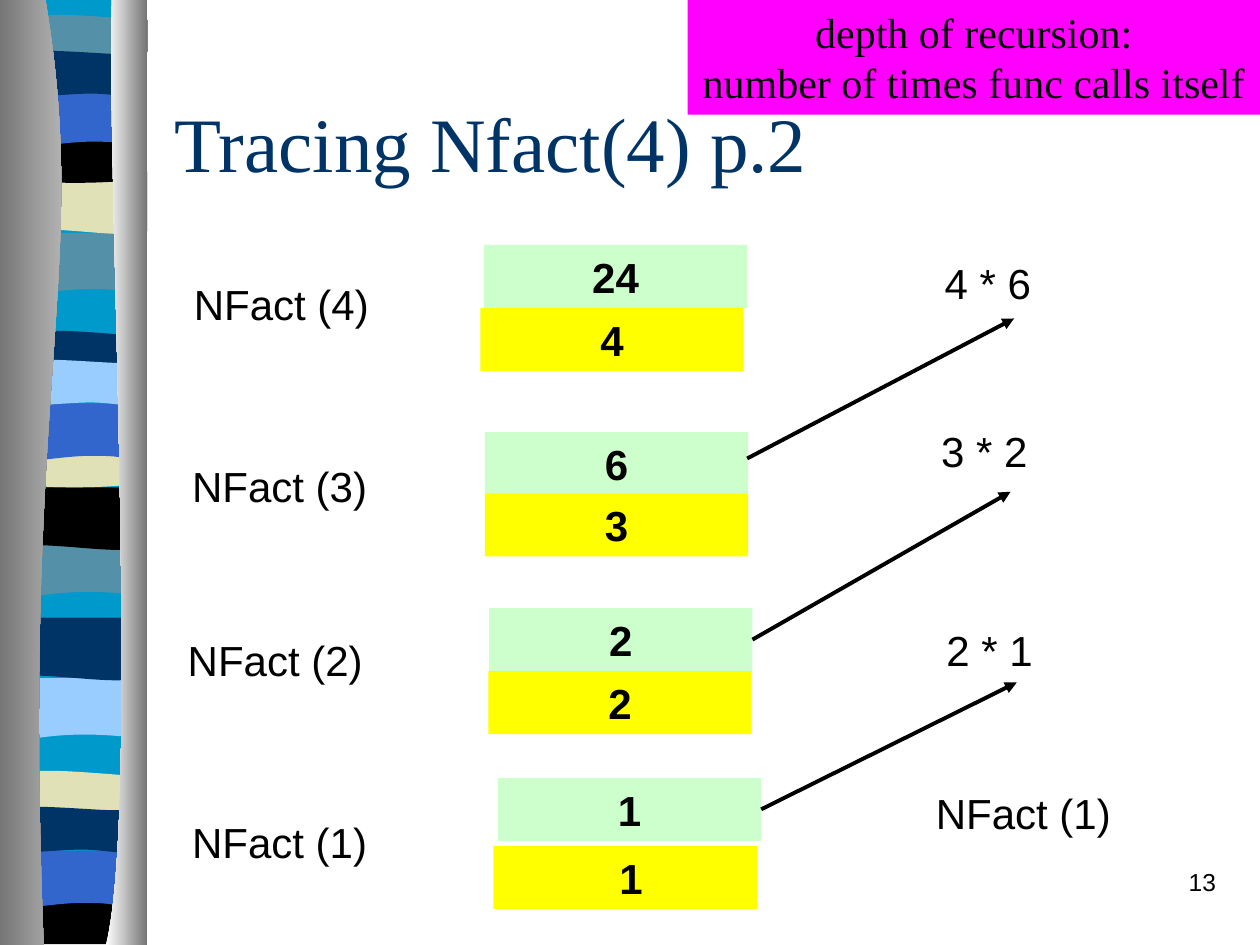
from pptx import Presentation
from pptx.dml.color import RGBColor
from pptx.enum.shapes import MSO_CONNECTOR, MSO_SHAPE
from pptx.enum.text import MSO_ANCHOR, MSO_AUTO_SIZE, PP_ALIGN
from pptx.oxml.ns import qn
from pptx.util import Pt
from lxml.etree import SubElement

BLACK, NAVY, BLUE, SKY = "000000", "003366", "3366CC", "99CCFF"
STEEL, SAND, CYAN = "5490A8", "E1E1B7", "0099CC"
GREEN, YELLOW, MAGENTA = "CCFFCC", "FFFF00", "FF00FF"
DARK, PALE, WHITE = "767676", "D0D0D0", "FFFFFF"

MOTIFS = {
    "backdrop": [(78, 0), (78, 538), (0, 538), (0, 0)],
    "swoosh": [(78, 0), (78, 34), (24, 28, 14, 40, 0, 34), (0, 0)],
    "drape": [(78, 0), (78, 34), (65, 39.5, 24, 30, 0, 34), (0, 0)],
    "lens": [(78, 0), (78, 18), (65, 21, 13, 21, 0, 18), (0, 0),
             (5, -3, 17, -3, 30, -3), (42, -3, 68, -0.5, 78, 0)],
    "wave": [(78, 0), (78, 23.5), (65, 27.5, 13, 27.5, 0, 23.5), (0, 0),
             (47.5, 3.5, 61, 0, 78, 0)],
    "ripple": [(78, 0), (78, 34), (65.5, 30, 60.5, 30, 47.5, 30),
               (34.5, 30, 11.5, 34, 0, 34), (0, 0)],
    "crest": [(78, 0), (78, 22.5), (73, 26, 61, 22.5, 48, 22.5),
              (35, 22.5, 8, 26, 0, 22.5), (0, 0), (11, -4.5, 53, 0, 66, 0),
              (79, 0, 75.5, 0, 78, 0)],
    "base": [(78, 0), (78, 27), (0, 27), (0, 0), (47.5, 3.5, 61, 0, 78, 0)],
    "left column": [(26, 0), (52, 155.5, 12, 213, 25, 540), (0, 540), (0, 0)],
    "right column": [(64, 0), (60.5, 90, 80.5, 465, 60.5, 540), (84, 540), (84, 0)],
}

RIBBON = [
    ("backdrop", 4, 0, CYAN),
    ("swoosh", 4, 133, STEEL), ("drape", 6.5, 98, SAND), ("lens", 6.5, 11.5, STEEL),
    ("wave", 4, 78, BLACK), ("ripple", 4, 51, BLUE), ("crest", 4, 31, NAVY),
    ("swoosh", 1.5, 306, STEEL), ("drape", 3.5, 278.5, BLACK), ("lens", 3.5, 192, NAVY),
    ("wave", 3.5, 252, SAND), ("ripple", 3.5, 230.5, BLUE), ("crest", 3.5, 207.5, SKY),
    ("swoosh", -1, 387.5, SKY), ("drape", 1.5, 353, NAVY), ("lens", 1, 443.5, SAND),
    ("base", 1, 512.5, BLACK), ("ripple", -1.5, 486, BLUE), ("crest", -1.5, 463, NAVY),
    ("left column", 0, 0, (DARK, PALE)), ("right column", 0, 0, (WHITE, DARK)),
]

CALLS = [
    ("NFact (4)", (103.5, 155.5), "24", (276.5, 140), "4", (274.5, 176)),
    ("NFact (3)", (102.5, 259.5), "6", (277, 247), "3", (277, 282)),
    ("NFact (2)", (100, 359), "2", (279.5, 347.5), "2", (279, 383.5)),
    ("NFact (1)", (102.5, 463), "1", (284.5, 444.5), " 1", (282, 483.5)),
]

PRODUCTS = [
    ("4 * 6", (532.5, 143.5, 64)),
    ("3 * 2", (530.5, 239.5, 64)),
    ("2 * 1", (533.5, 353.5, 64)),
    ("NFact (1)", (527.5, 446.5, 114.5)),
]


def color(value):
    """Turn a hex string into a colour."""
    return RGBColor.from_string(value)


def write(shape, text, size=24, font="Arial", ink=BLACK, bold=False,
          align=PP_ALIGN.CENTER, anchor=MSO_ANCHOR.TOP, wrap=True, grow=True):
    """Fill a shape with formatted text, one paragraph per line."""
    frame = shape.text_frame
    frame.text = text
    frame.word_wrap = wrap
    frame.vertical_anchor = anchor
    frame.auto_size = MSO_AUTO_SIZE.SHAPE_TO_FIT_TEXT if grow else MSO_AUTO_SIZE.NONE
    for paragraph in frame.paragraphs:
        paragraph.alignment = align
        for run in paragraph.runs:
            run.font.size, run.font.name, run.font.bold = Pt(size), font, bold
            run.font.color.rgb = color(ink)


def bend(outline, segments):
    """Join the three points of each curved segment into one cubic curve."""
    lines = iter(list(outline._element.iter(qn("a:lnTo"))))
    for segment in segments:
        curve, *others = [next(lines) for _ in range(len(segment) // 2)]
        if others:
            curve.tag = qn("a:cubicBezTo")
        for other in others:
            curve.append(other[0])
            other.getparent().remove(other)


class Board:
    """Hold the style and the current slide."""

    serif = "Times New Roman"

    def __init__(self, slide):
        """Keep the slide to draw on."""
        self.slide = slide
        self.shapes = slide.shapes

    def title(self, text, left, top, width, height):
        """Place and format the title placeholder."""
        heading = self.shapes.title
        heading.left, heading.top = Pt(left), Pt(top)
        heading.width, heading.height = Pt(width), Pt(height)
        write(heading, text, size=44, font=self.serif, ink=NAVY,
              align=PP_ALIGN.LEFT, anchor=MSO_ANCHOR.MIDDLE, grow=False)

    def band(self, motif, left, top, paint):
        """Draw a curved outline in a flat colour or a pair of gradient colours."""
        segments = MOTIFS[motif]
        points = [(Pt(max(0, left + x)), Pt(top + y))
                  for segment in segments for x, y in zip(segment[::2], segment[1::2])]
        builder = self.shapes.build_freeform(*points[0], scale=1.0)
        builder.add_line_segments(points[1:], close=True)
        outline = builder.convert_to_shape()
        bend(outline, segments[1:])
        outline.shadow.inherit = False
        outline.line.fill.background()
        if isinstance(paint, str):
            outline.fill.solid()
            outline.fill.fore_color.rgb = color(paint)
            return
        outline.fill.gradient()
        outline.fill.gradient_angle = 0
        for stop, shade in zip(outline.fill.gradient_stops, paint):
            stop.color.rgb = color(shade)

    def label(self, text, left, top, width, height=36, **style):
        """Add plain text."""
        caption = self.shapes.add_textbox(Pt(left), Pt(top), Pt(width), Pt(height))
        write(caption, text, **style)

    def box(self, text, left, top, width, height, fill, **style):
        """Add a filled rectangle with text."""
        cell = self.shapes.add_shape(MSO_SHAPE.RECTANGLE, Pt(left), Pt(top),
                                     Pt(width), Pt(height))
        cell.shadow.inherit = False
        cell.fill.solid()
        cell.fill.fore_color.rgb = color(fill)
        cell.line.fill.background()
        write(cell, text, **style)
        return cell

    def arrow(self, start, tip, source=None):
        """Run an arrow to a point, from a point or the right side of a box."""
        link = self.shapes.add_connector(MSO_CONNECTOR.STRAIGHT,
                                         *(Pt(length) for length in start + tip))
        if source is not None:
            link.begin_connect(source, 3)
        link.line.width = Pt(2.25)
        link.line.color.rgb = color(BLACK)
        SubElement(link.line._get_or_add_ln(), qn("a:tailEnd"), type="triangle")
        SubElement(link._element.spPr, qn("a:effectLst"))


def main():
    """Build the slide and save it."""
    deck = Presentation()
    deck.slide_width, deck.slide_height = Pt(720), Pt(540)
    board = Board(deck.slides.add_slide(deck.slide_layouts[5]))
    for band in RIBBON:
        board.band(*band)
    board.label("13", 552, 492, 150, size=14, align=PP_ALIGN.RIGHT, grow=False)
    board.title("Tracing Nfact(4) p.2", 92.5, 36, 612, 90)

    results = []
    for call, call_at, result, result_at, argument, argument_at in CALLS:
        board.label(call, *call_at, 114.5, wrap=False)
        results.append(board.box(result, *result_at, 150.5, 36, GREEN, bold=True))
        board.box(argument, *argument_at, 150.5, 36, YELLOW, bold=True)

    for product, place in PRODUCTS:
        board.label(product, *place, wrap=False)
    board.arrow((436, 461.5), (581, 390), results[3])
    board.arrow((430, 365), (577.5, 281), results[2])
    board.arrow((427, 262), (579.5, 182))

    board.box("depth of recursion:\nnumber of times func calls itself",
              393, 0, 327, 65.5, MAGENTA, font=board.serif, wrap=False)
    deck.save("out.pptx")


if __name__ == "__main__":
    main()
